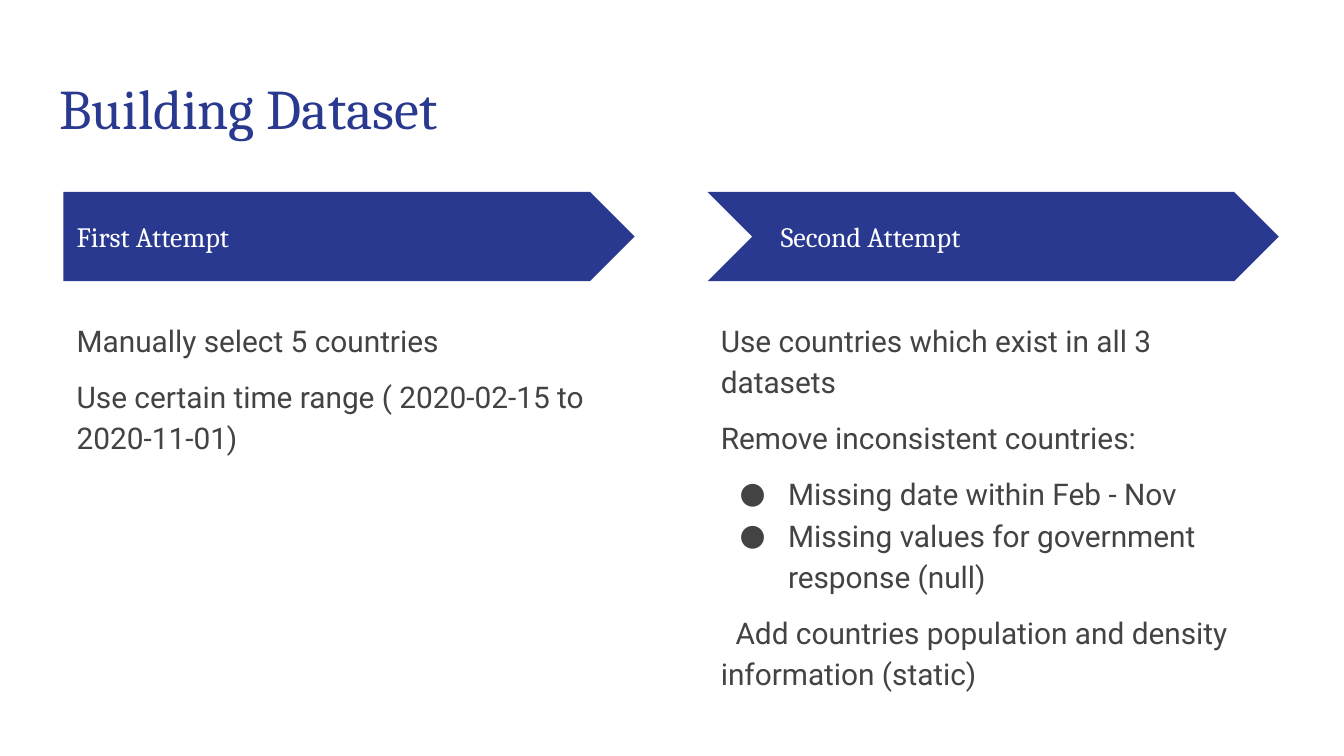
from dataclasses import dataclass

from lxml import etree
from pptx import Presentation
from pptx.dml.color import RGBColor
from pptx.enum.shapes import MSO_SHAPE
from pptx.enum.text import MSO_ANCHOR
from pptx.oxml.ns import qn
from pptx.util import Inches, Pt

NAVY = RGBColor(0x2A, 0x39, 0x90)
GRAY = RGBColor(0x43, 0x43, 0x43)
WHITE = RGBColor(0xFF, 0xFF, 0xFF)

# Widescreen, 16:9
SLIDE_WIDTH = Inches(10)
SLIDE_HEIGHT = SLIDE_WIDTH * 9 // 16

TITLE_FONT = {"name": "Cambria", "size": Pt(30), "color": NAVY}
HEADING_FONT = {"name": "Cambria", "size": Pt(15), "color": WHITE}
BODY_FONT = {"name": "Roboto", "size": Pt(16), "color": GRAY}


@dataclass(frozen=True)
class Area:
    """A rectangle in percent of the slide's width and height."""
    left: float
    top: float
    width: float
    height: float

    def lengths(self) -> tuple[int, int, int, int]:
        return (int(SLIDE_WIDTH * self.left / 100), int(SLIDE_HEIGHT * self.top / 100),
                int(SLIDE_WIDTH * self.width / 100), int(SLIDE_HEIGHT * self.height / 100))


@dataclass(frozen=True)
class Line:
    text: str
    before: float = 0
    after: float = 0
    spacing: float = 1.0
    margin: float = 0
    indent: float = 0
    bullet: str = ""


@dataclass(frozen=True)
class Step:
    left: float
    arrow: MSO_SHAPE
    heading: str
    heading_left: float
    heading_width: float
    lines: tuple[Line, ...]


STEPS = (
    Step(4.72, MSO_SHAPE.PENTAGON, "First Attempt", 4.72, 38.9, (
        Line("Manually select 5 countries", spacing=1.15),
        Line("Use certain time range ( 2020-02-15 to 2020-11-01)", 8, 8, 1.15),
    )),
    Step(52.65, MSO_SHAPE.CHEVRON, "Second Attempt", 57.12, 34.7, (
        Line("Use countries which exist in all 3 datasets", spacing=1.15),
        Line("Remove inconsistent countries:", 8, 0, 1.15),
        Line("Missing date within Feb - Nov", 8, 0, 1.15, 0.5, -0.36, "●"),
        Line("Missing values for government response (null)", 0, 0, 1.15, 0.5, -0.36, "●"),
        Line("Add countries population and density information (static)",
             8, 8, 1.15, 0, 0.11),
    )),
)


def format_paragraph(paragraph, line: Line, font: dict) -> None:
    properties = paragraph._p.get_or_add_pPr()
    properties.set("marL", str(Inches(line.margin)))
    properties.set("indent", str(Inches(line.indent)))
    if line.bullet:
        color = etree.SubElement(properties, qn("a:buClr"))
        etree.SubElement(color, qn("a:srgbClr")).set("val", str(font["color"]))
        etree.SubElement(properties, qn("a:buFont")).set("typeface", font["name"])
        etree.SubElement(properties, qn("a:buChar")).set("char", line.bullet)
    values = {"space_before": Pt(line.before), "space_after": Pt(line.after),
              "line_spacing": line.spacing}
    for name, value in values.items():
        setattr(paragraph, name, value)
    run = paragraph.add_run()
    run.text = line.text
    for name in ("name", "size"):
        setattr(run.font, name, font[name])
    run.font.color.rgb = font["color"]


def add_text(slide, area: Area, lines: tuple[Line, ...], font: dict,
             anchor: MSO_ANCHOR = MSO_ANCHOR.TOP) -> None:
    frame = slide.shapes.add_textbox(*area.lengths()).text_frame
    values = {"word_wrap": True, "vertical_anchor": anchor}
    values |= {f"margin_{side}": Inches(0.1) for side in ("left", "top", "right", "bottom")}
    for name, value in values.items():
        setattr(frame, name, value)
    for index, line in enumerate(lines):
        paragraph = frame.add_paragraph() if index else frame.paragraphs[0]
        format_paragraph(paragraph, line, font)


def add_step(slide, step: Step) -> None:
    # Arrow banner
    shape = slide.shapes.add_shape(step.arrow, *Area(step.left, 25.4, 42.5, 11.8).lengths())
    shape.adjustments[0] = 0.5
    shape.shadow.inherit = False
    shape.fill.solid()
    shape.fill.fore_color.rgb = NAVY
    shape.line.fill.background()
    # Heading on the banner, details below it
    add_text(slide, Area(step.heading_left, 28.3, step.heading_width, 6),
             (Line(step.heading),), HEADING_FONT, MSO_ANCHOR.MIDDLE)
    add_text(slide, Area(step.left, 40.2, 42.5, 51.6), step.lines, BODY_FONT)


def main() -> None:
    presentation = Presentation()
    presentation.slide_width, presentation.slide_height = SLIDE_WIDTH, SLIDE_HEIGHT
    slide = presentation.slides.add_slide(presentation.slide_layouts[6])
    slide.background.fill.solid()
    slide.background.fill.fore_color.rgb = WHITE
    # Title
    add_text(slide, Area(3.45, 8, 93.2, 11.8), (Line("Building Dataset"),), TITLE_FONT)
    # Two attempts side by side
    for step in STEPS:
        add_step(slide, step)
    presentation.save("out.pptx")


if __name__ == "__main__":
    main()
